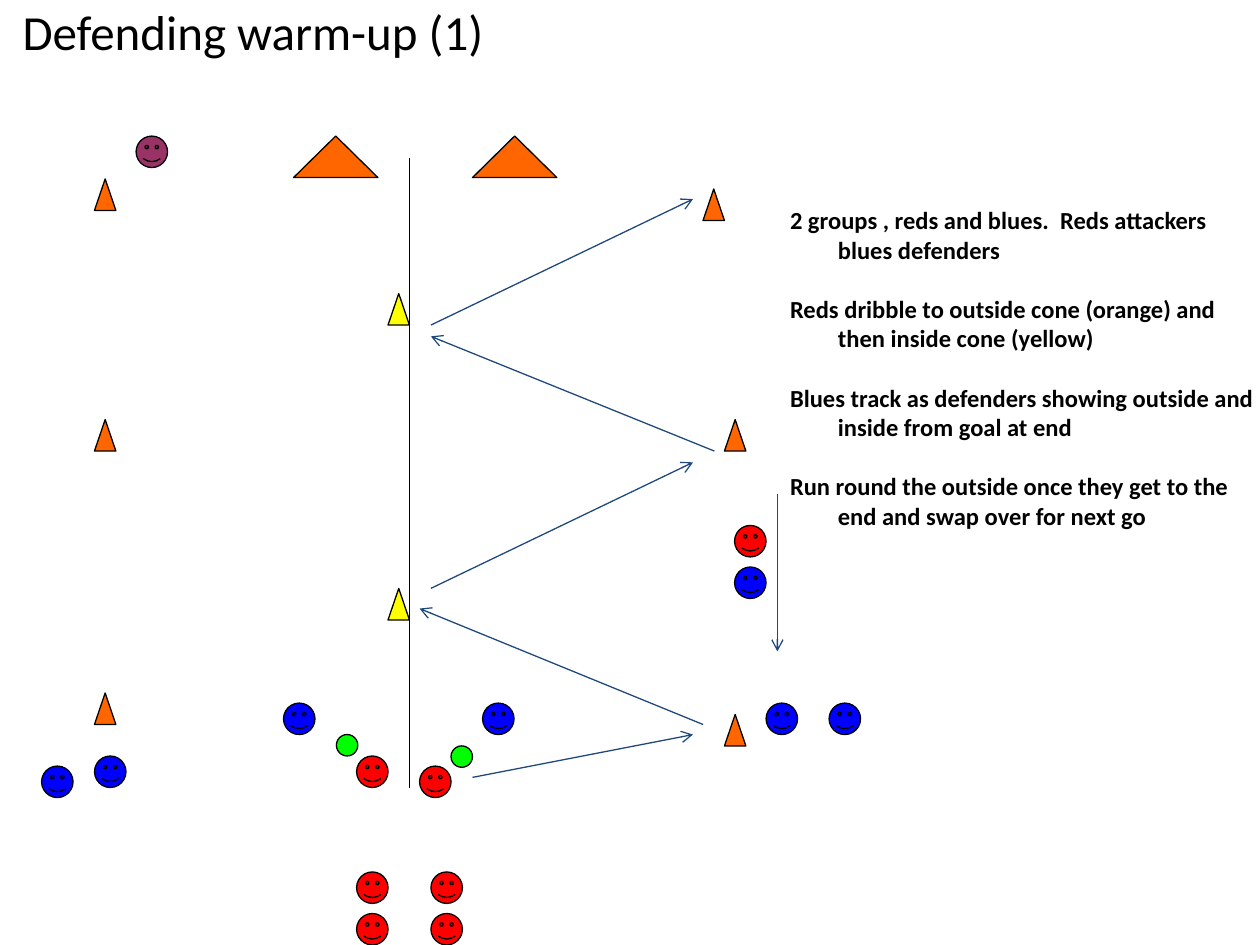
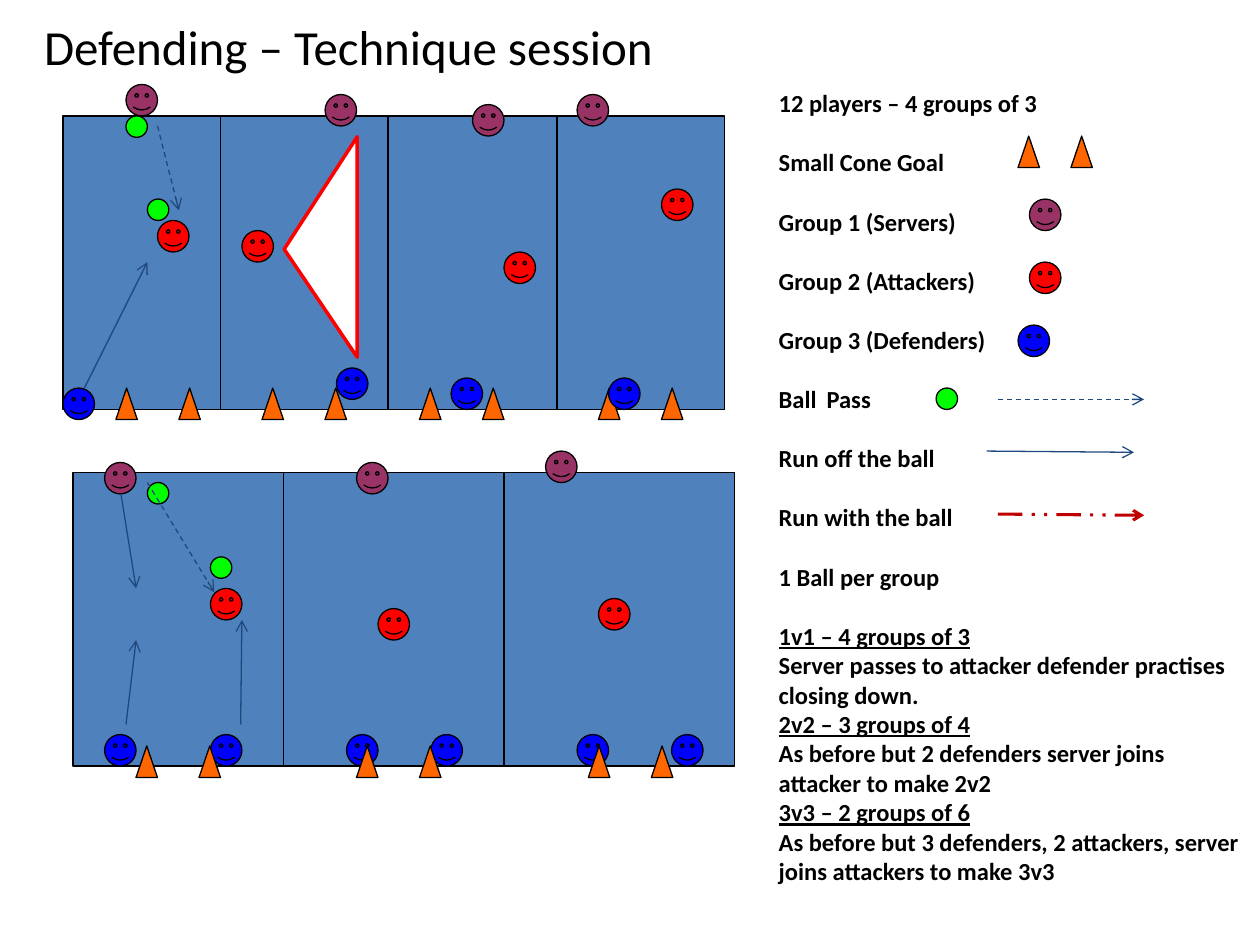
import dataclasses

import lxml.etree
import pptx
import pptx.dml.color
import pptx.enum.dml
import pptx.enum.shapes
import pptx.enum.text
import pptx.oxml.ns
import pptx.util

Inches = pptx.util.Inches
Pt = pptx.util.Pt
Kind = pptx.enum.shapes.MSO_SHAPE
Dash = pptx.enum.dml.MSO_LINE
Text = pptx.enum.text
qn = pptx.oxml.ns.qn


@dataclasses.dataclass(frozen=True)
class Theme:
    font: str = "Calibri"
    head: int = 28
    body: int = 14
    gap: int = 17
    thin: float = 0.75
    ink: str = "000000"
    paper: str = "FFFFFF"
    field: str = "4F81BD"
    move: str = "1F497D"
    carry: str = "C00000"
    orange: str = "FF6600"
    yellow: str = "FFFF00"
    red: str = "FF0000"
    blue: str = "0000FF"
    plum: str = "993366"
    green: str = "00FF00"


T = Theme()

TOKENS = {
    "cone": (Kind.ISOSCELES_TRIANGLE, 0.17, 0.25, T.orange),
    "inner": (Kind.ISOSCELES_TRIANGLE, 0.17, 0.25, T.yellow),
    "goal": (Kind.ISOSCELES_TRIANGLE, 0.67, 0.33, T.orange),
    "ball": (Kind.OVAL, 0.17, 0.17, T.green),
    "red": (Kind.SMILEY_FACE, 0.25, 0.25, T.red),
    "blue": (Kind.SMILEY_FACE, 0.25, 0.25, T.blue),
    "server": (Kind.SMILEY_FACE, 0.25, 0.25, T.plum),
}

PASS = {"dash_style": Dash.DASH}
CARRY = {"dash_style": Dash.DASH_DOT_DOT, "width": Pt(1.75)}


def rgb(code):
    return pptx.dml.color.RGBColor.from_string(code)


def style(item, form):
    for name, value in form.items():
        setattr(item, name, value)


def place(item, box):
    style(item, dict(zip(("left", "top", "width", "height"), map(Inches, box))))


def shape(slide, kind, box, fill, edge=T.ink, width=T.thin):
    item = slide.shapes.add_shape(kind, *map(Inches, box))
    item.shadow.inherit = False
    item.fill.solid()
    item.fill.fore_color.rgb = rgb(fill)
    item.line.color.rgb = rgb(edge)
    item.line.width = Pt(width)
    return item


def tokens(slide, name, *spots):
    kind, wide, high, fill = TOKENS[name]
    for left, top in spots:
        shape(slide, kind, (left, top, wide, high), fill)


def line(slide, ends, tint=T.ink, form=None):
    straight = pptx.enum.shapes.MSO_CONNECTOR.STRAIGHT
    item = slide.shapes.add_connector(straight, *map(Inches, ends))
    item.line.color.rgb = rgb(tint)
    style(item.line, {"width": Pt(T.thin), **(form or {})})
    lxml.etree.SubElement(item.element.spPr, qn("a:effectLst"))
    return item


def arrow(slide, ends, tint=T.move, form=None):
    stroke = line(slide, ends, tint, form).element.spPr.find(qn("a:ln"))
    lxml.etree.SubElement(stroke, qn("a:tailEnd"), type="arrow")


def pitch(slide, left, top, splits):
    wide, high = 5.25, 2.33
    shape(slide, Kind.RECTANGLE, (left, top, wide, high), T.field)
    for x in splits:
        line(slide, (x, top, x, top + high))


def frame(holder, box):
    place(holder, box)
    style(holder.text_frame, {
        "word_wrap": True,
        "auto_size": Text.MSO_AUTO_SIZE.NONE,
        "vertical_anchor": Text.MSO_ANCHOR.TOP,
    })
    return holder.text_frame


def write(para, words, form):
    run = para.add_run()
    run.text = words
    style(run.font, {"name": T.font, **form})
    run.font.color.rgb = rgb(T.ink)


def title(slide, words, box):
    para = frame(slide.shapes.title, box).paragraphs[0]
    para.alignment = Text.PP_ALIGN.LEFT
    write(para, words, {"size": Pt(T.head), "bold": False})


def notes(slide, box, rows):
    area = frame(slide.placeholders[1], box)
    for i, (words, gap, hang, under) in enumerate(rows):
        para = area.add_paragraph() if i else area.paragraphs[0]
        style(para, {"space_before": Pt(0), "space_after": Pt(gap)})
        props = para._p.get_or_add_pPr()
        props.set("marL", str(Inches(hang)))
        props.set("indent", str(-Inches(hang)))
        lxml.etree.SubElement(props, qn("a:buNone"))
        write(para, words,
              {"size": Pt(T.body), "bold": True, "underline": under})


def spaced(rows):
    return [(words, T.gap, 0.38, False) for words in rows]


def warmup(slide):
    title(slide, "Defending warm-up (1)", (0.08, -0.04, 9.75, 0.57))
    notes(slide, (6.17, 1.58, 3.92, 3.16), spaced([
        "2 groups , reds and blues.  Reds attackers blues defenders",
        "Reds dribble to outside cone (orange) and then inside cone (yellow)",
        "Blues track as defenders showing outside and inside from goal at end",
        "Run round the outside once they get to the end and swap over for "
        "next go",
    ]))
    tokens(slide, "cone", (0.75, 1.42), (0.75, 3.33), (0.75, 5.5),
           (5.58, 1.5), (5.75, 3.33), (5.75, 5.67))
    tokens(slide, "inner", (3.08, 2.33), (3.08, 4.67))
    tokens(slide, "goal", (2.33, 1.08), (3.75, 1.08))
    line(slide, (3.25, 1.25, 3.25, 6.25))
    tokens(slide, "ball", (2.67, 5.83), (3.58, 5.92))
    tokens(slide, "server", (1.08, 1.08))
    tokens(slide, "blue", (0.33, 6.08), (0.75, 6), (2.25, 5.58),
           (3.83, 5.58), (5.83, 4.5), (6.08, 5.58), (6.58, 5.58))
    queue = [(x, y) for x in (2.83, 3.42) for y in (6.92, 7.25)]
    tokens(slide, "red", (5.83, 4.17), (2.83, 6), (3.33, 6.08), *queue)
    for ends in ((3.75, 6.17, 5.5, 5.83), (5.58, 5.75, 3.33, 4.83),
                 (3.42, 4.67, 5.5, 3.67), (5.67, 3.58, 3.42, 2.67),
                 (3.42, 2.58, 5.5, 1.58), (6.17, 3.92, 6.17, 5.17)):
        arrow(slide, ends)


def legend(slide):
    rows = spaced([
        "12 players – 4 groups of 3",
        "Small Cone Goal",
        "Group 1 (Servers)",
        "Group 2 (Attackers)",
        "Group 3 (Defenders)",
        "Ball \tPass",
        "Run off the ball",
        "Run with the ball",
        "1 Ball per group",
    ])
    games = {
        "1v1 – 4 groups of 3":
            "Server passes to attacker defender practises closing down.",
        "2v2 – 3 groups of 4":
            "As before but 2 defenders server joins attacker to make 2v2",
        "3v3 – 2 groups of 6":
            "As before but 3 defenders, 2 attackers, server joins attackers "
            "to make 3v3",
    }
    for name, rule in games.items():
        rows += [(name, 0, 0, True), (rule, 0, 0, False)]
    notes(slide, (6.08, 0.65, 3.92, 6.46), rows)
    tokens(slide, "cone", (8.08, 1.08), (8.5, 1.08))
    tokens(slide, "server", (8.17, 1.58))
    tokens(slide, "red", (8.17, 2.08))
    tokens(slide, "blue", (8.08, 2.58))
    tokens(slide, "ball", (7.43, 3.08))
    arrow(slide, (7.92, 3.17, 9.08, 3.17), form=PASS)
    arrow(slide, (7.83, 3.58, 9, 3.59))
    arrow(slide, (7.92, 4.08, 9.08, 4.09), T.carry, CARRY)


def session(slide):
    title(slide, "Defending – Technique session", (0.25, 0.08, 5.77, 0.57))
    pitch(slide, 0.5, 0.92, (1.75, 3.08, 4.42))
    pitch(slide, 0.58, 3.75, (2.25, 4))
    legend(slide)

    gates = (0.92, 1.42, 2.08, 2.58, 3.33, 3.83, 4.75, 5.25)
    tokens(slide, "cone", *[(x, 3.08) for x in gates])
    tokens(slide, "ball", (1, 0.92), (1.17, 1.58), (1.17, 3.83), (1.67, 4.42))
    tokens(slide, "server", (1, 0.67), (2.58, 0.75), (3.75, 0.83),
           (4.58, 0.75), (0.83, 3.67), (2.83, 3.67), (4.33, 3.58))
    tokens(slide, "red", (1.25, 1.75), (1.92, 1.83), (4, 2), (5.25, 1.5),
           (1.67, 4.67), (3, 4.83), (4.75, 4.75))
    backs = (0.83, 1.67, 2.75, 3.42, 4.58, 5.33)
    tokens(slide, "blue", (0.5, 3.08), (2.67, 2.92), (3.58, 3), (4.83, 3),
           *[(x, 5.83) for x in backs])
    gates = (1.08, 1.58, 2.83, 3.33, 4.67, 5.17)
    tokens(slide, "cone", *[(x, 5.92) for x in gates])

    wedge = shape(slide, Kind.ISOSCELES_TRIANGLE, (1.67, 1.67, 1.75, 0.58),
                  T.paper, T.red, 2)
    wedge.adjustments[0] = 0.49
    wedge.rotation = 270

    for ends in ((1.25, 1, 1.42, 1.67), (1.17, 3.83, 1.7, 4.7)):
        arrow(slide, ends, form=PASS)
    for ends in ((0.67, 3.08, 1.17, 2.08), (1.91, 5.75, 1.92, 4.92),
                 (0.96, 3.92, 1.08, 4.67), (1, 5.75, 1.08, 5.08)):
        arrow(slide, ends)


def main():
    deck = pptx.Presentation()
    style(deck, {"slide_width": Inches(10), "slide_height": Inches(7.5)})
    for build in (warmup, session):
        build(deck.slides.add_slide(deck.slide_layouts[1]))
    deck.save("out.pptx")


if __name__ == "__main__":
    main()
